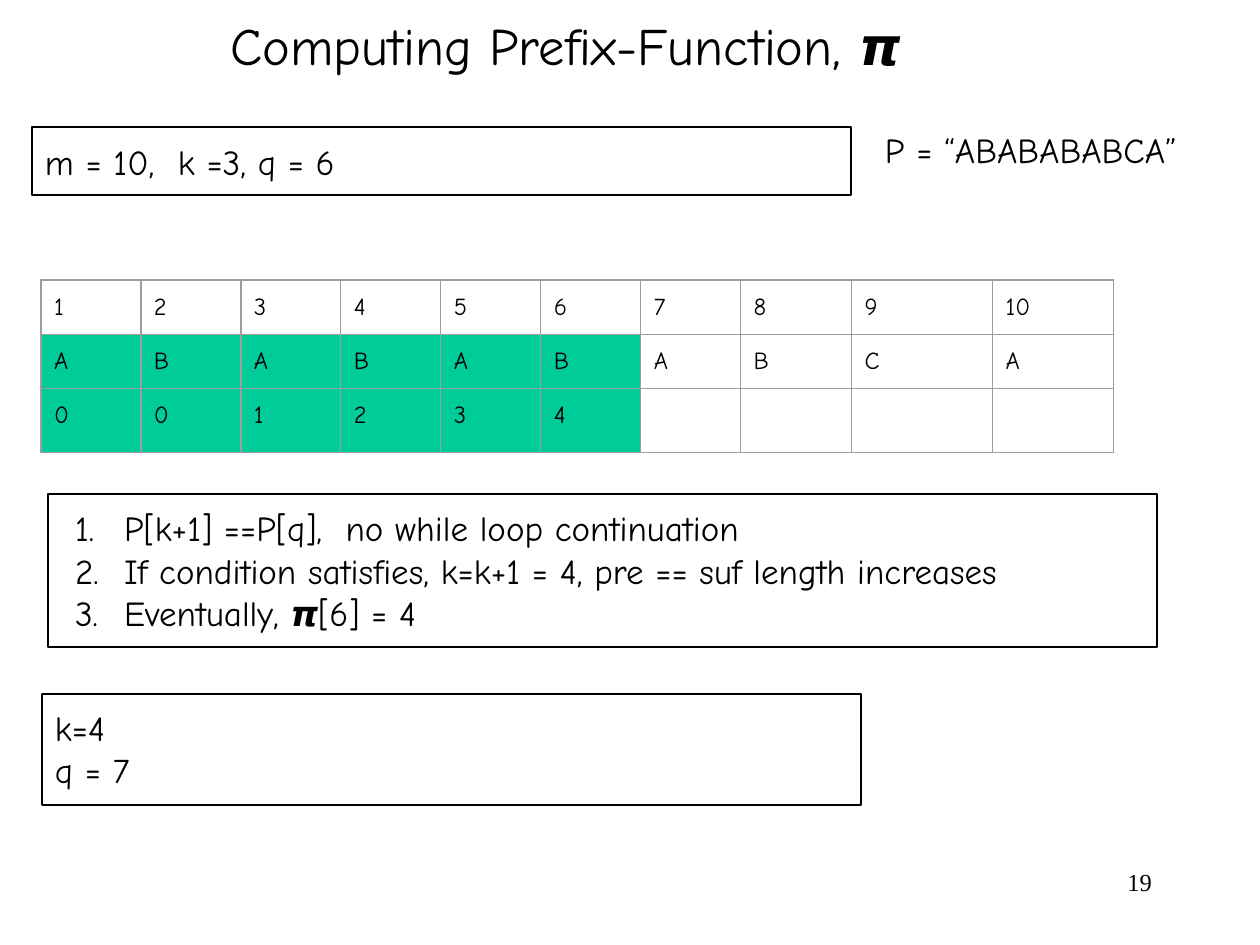
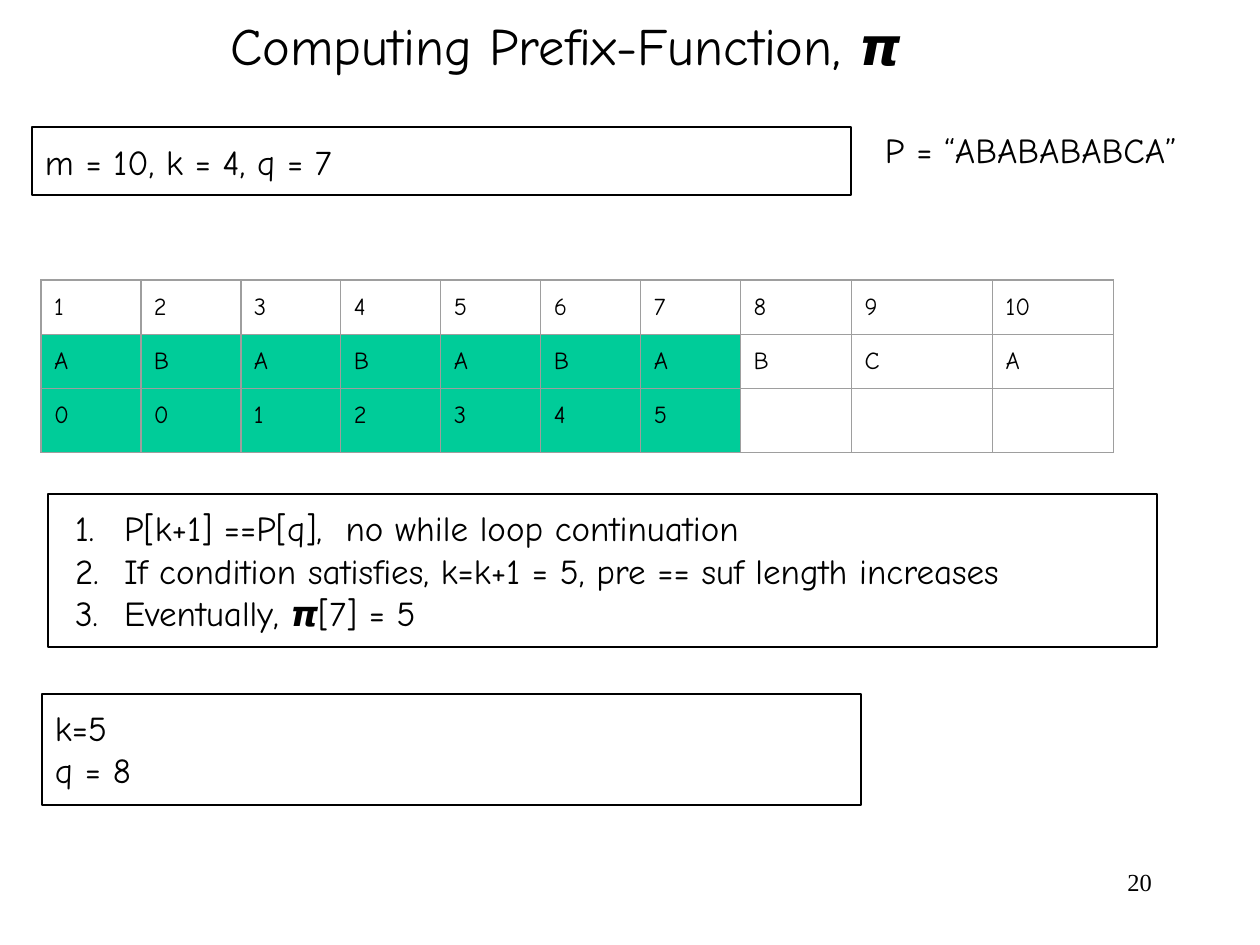
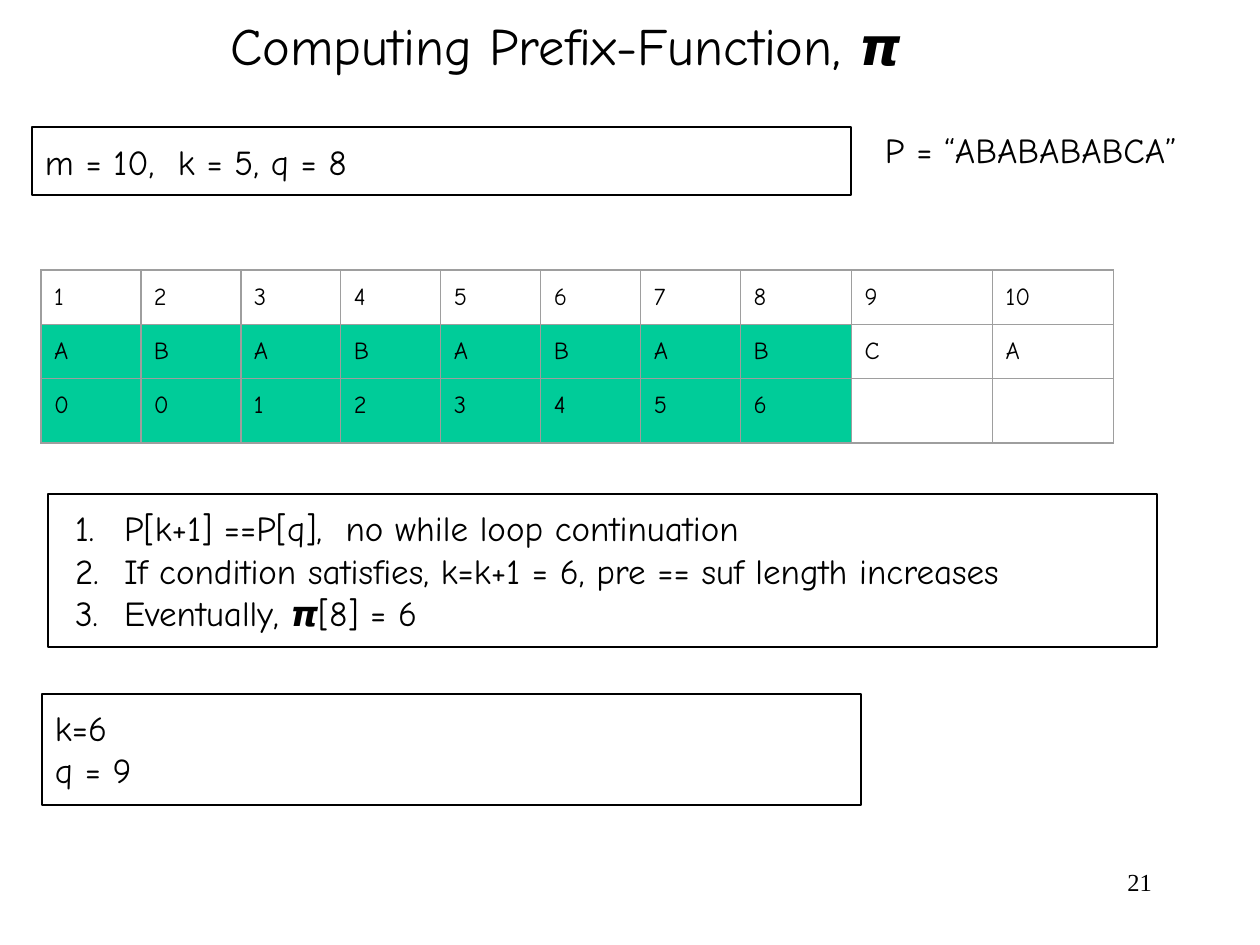
from dataclasses import dataclass
from lxml.etree import SubElement
from pptx import Presentation
from pptx.dml.color import RGBColor as RGB
from pptx.enum.shapes import MSO_SHAPE as SHAPE
from pptx.enum.text import MSO_ANCHOR as ANCHOR, MSO_AUTO_SIZE as AUTO, PP_ALIGN as ALIGN
from pptx.oxml.ns import qn
from pptx.util import Emu, Pt

PX_PER_INCH = 126


@dataclass(frozen=True)
class Theme:
    ink: str = "000000"
    paper: str = "FFFFFF"
    done: str = "00CC99"
    grid: str = "9E9E9E"
    font: str = "Comic Neue"
    number_font: str = "Times New Roman"
    title: int = 30
    text: int = 20
    small: int = 14
    line: float = 0.75
    inset: int = 13


T = Theme()
PATTERN = "ABABABABCA"
PREFIX = [0, 0, 1, 2, 3, 4, 5, 6]
COLUMNS = [100] * 7 + [111, 141, 121]
ROW = 53
TITLE_BOX = (0, 0, 1131, 90)
STATE_BOX = (32, 127, 819, 68)
PATTERN_BOX = (872, 116, 358, 68)
STEPS_BOX = (48, 494, 1109, 153)
NEXT_BOX = (42, 694, 819, 111)
NUMBER_BOX = (903, 861, 262, 63)
TABLE_LEFT = 41

SLIDES = [
    dict(number=19, q=6, state="m = 10,  k =3, q = 6", table_top=280),
    dict(number=20, q=7, state="m = 10, k = 4, q = 7", table_top=280),
    dict(number=21, q=8, state="m = 10,  k = 5, q = 8", table_top=270),
]


def px(n):
    return Emu(round(n * 914400 / PX_PER_INCH))


def assign(obj, **values):
    for name, value in values.items():
        setattr(obj, name, value)


def place(sp, box):
    assign(sp, **dict(zip(("left", "top", "width", "height"), map(px, box))))


def style_run(r, size, font=T.font):
    assign(r.font, name=font, size=Pt(size), bold=False)
    r.font.color.rgb = RGB.from_string(T.ink)


def write(sp, lines, size=T.text, font=T.font, align=ALIGN.LEFT, inset_y=T.inset):
    tf = sp.text_frame
    assign(tf, word_wrap=True, auto_size=AUTO.NONE, vertical_anchor=ANCHOR.TOP,
           margin_left=px(T.inset), margin_right=px(T.inset),
           margin_top=px(inset_y), margin_bottom=px(inset_y))
    for i, line in enumerate(lines):
        p = tf.add_paragraph() if i else tf.paragraphs[0]
        assign(p, alignment=align, space_before=Pt(0), line_spacing=1.0)
        r = p.add_run()
        r.text = line
        style_run(r, size, font)


def outline(sp):
    sp.line.color.rgb = RGB.from_string(T.ink)
    sp.line.width = Pt(T.line)


def label(s, box, line, **style):
    write(s.shapes.add_textbox(*map(px, box)), [line], **style)


def framed(s, box, lines):
    sp = s.shapes.add_shape(SHAPE.RECTANGLE, *map(px, box))
    sp.shadow.inherit = False
    sp.fill.background()
    outline(sp)
    write(sp, lines)


def title(s, box):
    sp = s.shapes.title
    place(sp, box)
    write(sp, ["Computing Prefix-Function, 𝞹"], size=T.title, align=ALIGN.CENTER)


def steps(s, box, q, k):
    sp = s.placeholders[1]
    place(sp, box)
    outline(sp)
    write(sp, ["P[k+1] ==P[q],  no while loop continuation",
               f"If condition satisfies, k=k+1 = {k}, pre == suf length increases",
               f"Eventually, 𝞹[{q}] = {k}"])
    for p in sp.text_frame.paragraphs:
        pPr = p._p.get_or_add_pPr()
        pPr.set("marL", str(px(63)))
        pPr.set("indent", str(px(-49)))
        color = SubElement(pPr, qn("a:buClr"))
        SubElement(color, qn("a:srgbClr"), val=T.ink)
        SubElement(pPr, qn("a:buFont"), typeface=T.font)
        SubElement(pPr, qn("a:buAutoNum"), type="arabicPeriod")


def border(cell):
    tcPr = cell._tc.get_or_add_tcPr()
    for side in ("lnL", "lnR", "lnT", "lnB"):
        ln = SubElement(tcPr, qn(f"a:{side}"), w=str(Pt(T.line)))
        fill = SubElement(ln, qn("a:solidFill"))
        SubElement(fill, qn("a:srgbClr"), val=T.grid)


def prefix_table(s, left, top, q):
    rows = [range(1, len(PATTERN) + 1), PATTERN, PREFIX[:q]]
    box = (left, top, sum(COLUMNS), ROW * len(rows))
    table = s.shapes.add_table(len(rows), len(COLUMNS), *map(px, box)).table
    assign(table, first_row=False, horz_banding=False)
    for column, width in zip(table.columns, COLUMNS):
        column.width = px(width)
    for i, values in enumerate(rows):
        table.rows[i].height = px(ROW)
        for j in range(len(COLUMNS)):
            cell = table.cell(i, j)
            assign(cell, **{f"margin_{side}": px(T.inset)
                            for side in ("left", "right", "top", "bottom")})
            border(cell)
            if i and j >= q:
                cell.fill.background()
            else:
                cell.fill.solid()
                cell.fill.fore_color.rgb = RGB.from_string(T.done if i else T.paper)
            if j < len(values):
                r = cell.text_frame.paragraphs[0].add_run()
                r.text = str(values[j])
                style_run(r, T.small)


def prefix_slide(prs, number, q, state, table_top):
    s = prs.slides.add_slide(prs.slide_layouts[1])
    k = PREFIX[q - 1]
    label(s, NUMBER_BOX, str(number), size=T.small, font=T.number_font,
          align=ALIGN.RIGHT, inset_y=6)
    title(s, TITLE_BOX)
    framed(s, STATE_BOX, [state])
    prefix_table(s, TABLE_LEFT, table_top, q)
    label(s, PATTERN_BOX, f"P = “{PATTERN}”")
    steps(s, STEPS_BOX, q, k)
    framed(s, NEXT_BOX, [f"k={k}", f"q = {q + 1}"])


def main():
    prs = Presentation()
    assign(prs, slide_width=px(1260), slide_height=px(945))
    for values in SLIDES:
        prefix_slide(prs, **values)
    prs.save("out.pptx")


if __name__ == "__main__":
    main()
